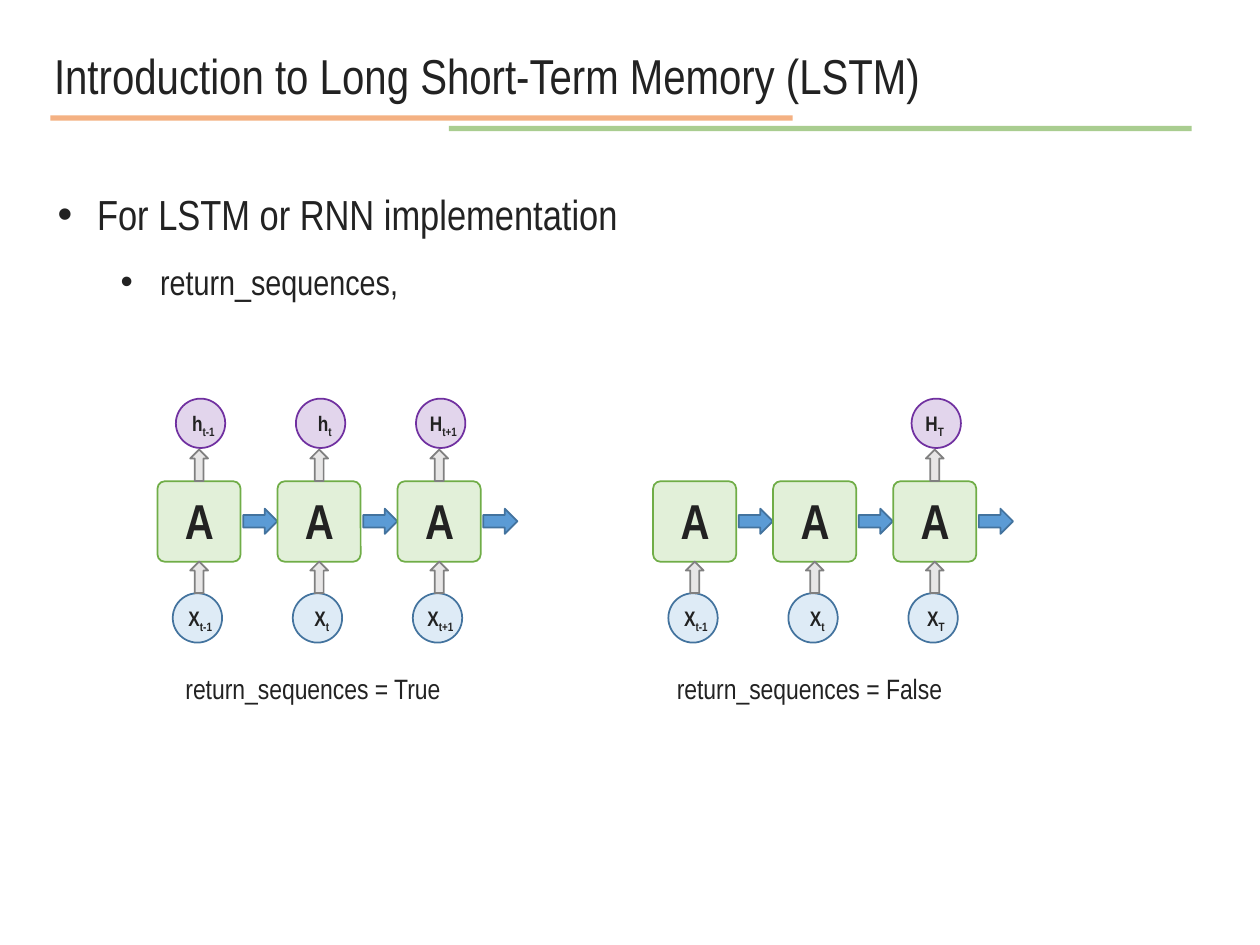
"""Build a slide comparing LSTM return_sequences settings."""
from dataclasses import dataclass
from typing import Any, Optional

from lxml import etree
from pptx import Presentation
from pptx import util as u
from pptx.dml.color import RGBColor
from pptx.enum import shapes, text
from pptx.oxml import ns

INK = RGBColor(0x22, 0x22, 0x22)
ORANGE = RGBColor(0xED, 0x7D, 0x31)
GREEN = RGBColor(0x70, 0xAD, 0x47)
PALE_GREEN = RGBColor(0xE2, 0xF0, 0xD9)
BLUE = RGBColor(0x5B, 0x9B, 0xD5)
DARK_BLUE = RGBColor(0x43, 0x73, 0x9E)
PURPLE = RGBColor(0x70, 0x30, 0xA0)
PALE_GREY = RGBColor(0xE7, 0xE6, 0xE6)
GREY = RGBColor(0x80, 0x80, 0x80)
PITCH = 68.6
LEFT, CENTER = text.PP_ALIGN.LEFT, text.PP_ALIGN.CENTER


@dataclass(frozen=True)
class Style:
    kind: shapes.MSO_SHAPE
    width: float
    height: float
    fill: RGBColor
    line: RGBColor
    alpha: int = 100
    rotation: int = 0
    corner: Optional[float] = None


@dataclass(frozen=True)
class Step:
    input_sub: str
    output: str = ""
    output_sub: str = ""
    output_shift: float = 0


@dataclass(frozen=True)
class Network:
    left: float
    steps: tuple[Step, ...]
    caption: str
    caption_left: float


CELL = Style(shapes.MSO_SHAPE.ROUNDED_RECTANGLE, 47.5, 46, PALE_GREEN, GREEN, corner=0.092)
NEXT = Style(shapes.MSO_SHAPE.RIGHT_ARROW, 19.5, 14.4, BLUE, DARK_BLUE)
UP = Style(shapes.MSO_SHAPE.RIGHT_ARROW, 18, 10.2, PALE_GREY, GREY, rotation=270)
INPUT = Style(shapes.MSO_SHAPE.OVAL, 28.2, 28.2, BLUE, DARK_BLUE, alpha=20)
OUTPUT = Style(shapes.MSO_SHAPE.OVAL, 28.2, 28.2, PURPLE, PURPLE, alpha=20)

NETWORKS = (
    Network(90, (Step("t-1 ", "h", "t-1 "), Step("t", "h", "t"), Step("t+1 ", "H", "t+1 ")),
            "return_sequences = True", 87.1),
    Network(373.2, (Step("t-1 "), Step("t"), Step("T ", "H", "T ", -2.5)),
            "return_sequences = False", 370.8),
)


def set_alpha(fill: Any, percent: int) -> None:
    """Make a solid fill or line colour partly transparent."""
    color = next(fill.iter(ns.qn("a:srgbClr")))
    etree.SubElement(color, ns.qn("a:alpha"), val=str(percent * 1000))


def add_rule(s: Any, x1: float, x2: float, y: float, color: RGBColor) -> None:
    """Draw a translucent horizontal rule."""
    sp = s.shapes.add_connector(shapes.MSO_CONNECTOR.STRAIGHT, *map(u.Pt, (x1, y, x2, y)))
    sp.line.color.rgb, sp.line.width = color, u.Pt(3)
    set_alpha(sp.line._ln, 60)
    etree.SubElement(sp._element.spPr, ns.qn("a:effectLst"))


def add_figure(s: Any, style: Style, x: float, y: float) -> None:
    """Draw one preset shape in the given style."""
    sp = s.shapes.add_shape(style.kind, *map(u.Pt, (x, y, style.width, style.height)))
    sp.shadow.inherit = False
    sp.fill.solid()
    sp.fill.fore_color.rgb = style.fill
    sp.line.color.rgb, sp.line.width = style.line, u.Pt(1)
    sp.rotation = style.rotation
    if style.corner is not None:
        sp.adjustments[0] = style.corner
    if style.alpha < 100:
        set_alpha(sp._element.spPr.find(ns.qn("a:solidFill")), style.alpha)


def add_run(p: Any, words: str, size: float, bold: bool = False) -> Any:
    """Append a formatted run to a paragraph."""
    r = p.add_run()
    r.text = words
    for name, value in {"name": "Arial Narrow", "size": u.Pt(size), "bold": bold}.items():
        setattr(r.font, name, value)
    r.font.color.rgb = INK
    return r


def add_box(s: Any, x: float, y: float, w: float, h: float) -> Any:
    """Add an empty wrapping text box and return its text frame."""
    tf = s.shapes.add_textbox(*map(u.Pt, (x, y, w, h))).text_frame
    for name, value in {"word_wrap": True, "auto_size": text.MSO_AUTO_SIZE.SHAPE_TO_FIT_TEXT}.items():
        setattr(tf, name, value)
    return tf


def add_label(s: Any, x: float, y: float, w: float, h: float, words: str, size: float,
              sub: str = "", bold: bool = False, align: Any = CENTER) -> Any:
    """Add a one-line label with an optional subscript and return its paragraph."""
    p = add_box(s, x, y, w, h).paragraphs[0]
    p.alignment = align
    add_run(p, words, size, bold)
    if sub:
        r = add_run(p, sub, size, bold)
        r.font._element.set("baseline", "-25000")
    return p


def add_bullets(s: Any) -> None:
    """Add the two-level bullet list."""
    tf = add_box(s, 25.9, 90, 665.3, 82.8)
    items = (("For LSTM or RNN implementation", 24, 22.5), ("return_sequences,", 20, 58.5))
    for level, (words, size, margin) in enumerate(items):
        p = tf.add_paragraph() if level else tf.paragraphs[0]
        p.level, p.line_spacing = level, 1.5
        add_run(p, words, size)
        pr = p._p.get_or_add_pPr()
        pr.set("marL", str(u.Pt(margin)))
        pr.set("indent", str(u.Pt(-22.5)))
        etree.SubElement(pr, ns.qn("a:buFont"), typeface="Arial")
        etree.SubElement(pr, ns.qn("a:buChar"), char="•")


def add_step(s: Any, step: Step, x: float) -> None:
    """Draw one time step of a network with its cell at x."""
    add_figure(s, NEXT, x + 49, 290.7)
    add_figure(s, CELL, x, 275)
    add_label(s, x + 8.6, 277, 30.2, 41, "A", 28, bold=True, align=LEFT)
    add_figure(s, INPUT, x + 8.7, 339)
    add_label(s, x + 8.7, 342.4, 33.1, 21.6, "X", 12, step.input_sub, True)
    add_figure(s, UP, x + 14.8, 324.8)
    if step.output:
        add_figure(s, OUTPUT, x + 10.5, 227.8)
        add_label(s, x + 10.5 + step.output_shift, 231.1, 33.1, 21.6,
                  step.output, 12, step.output_sub, True)
        add_figure(s, UP, x + 14.8, 260.8)


def main() -> None:
    """Build and save the slide."""
    prs = Presentation()
    prs.slide_width, prs.slide_height = u.Pt(720), u.Pt(540)
    s = prs.slides.add_slide(prs.slide_layouts[6])
    add_rule(s, 28.8, 452.9, 67.5, ORANGE)
    add_rule(s, 256.5, 681, 73.5, GREEN)
    add_bullets(s)
    for network in NETWORKS:
        for i, step in enumerate(network.steps):
            add_step(s, step, network.left + i * PITCH)
        add_label(s, network.caption_left, 380, 183.6, 26.6, network.caption, 16)
    title = add_label(s, 23.8, 5.8, 672.5, 51.8,
                      "Introduction to Long Short-Term Memory (LSTM)", 28, align=LEFT)
    title.line_spacing = 1.5
    prs.save("out.pptx")


if __name__ == "__main__":
    main()
